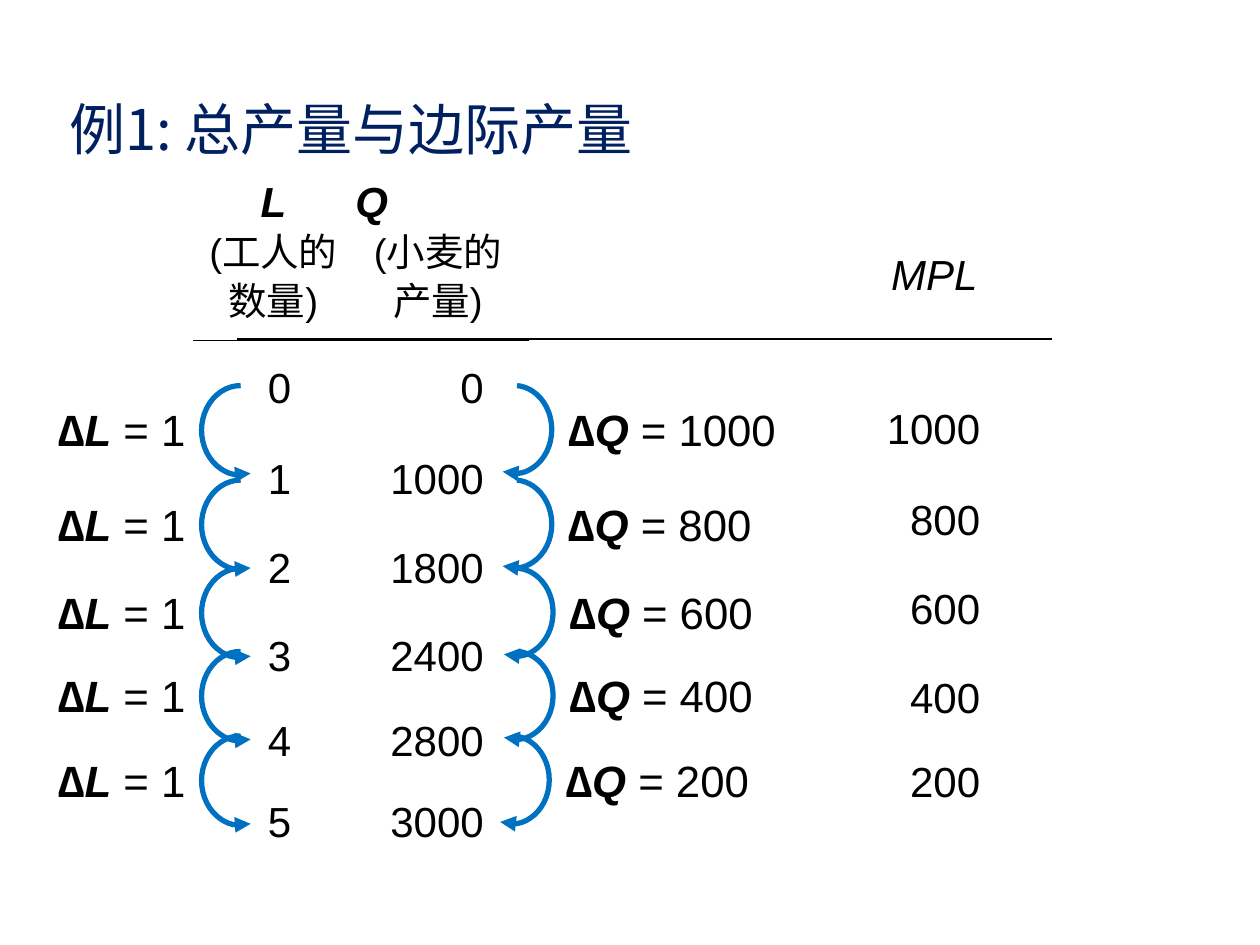
from dataclasses import dataclass

from lxml import etree
from pptx import Presentation
from pptx import util as u
from pptx.dml.color import RGBColor
from pptx.enum import shapes, text
from pptx.oxml.ns import qn


@dataclass(frozen=True)
class Theme:
    navy: str = "002060"
    ink: str = "000000"
    blue: str = "0070C0"
    latin: str = "Arial"
    cjk: str = "Noto Sans CJK SC"
    title: int = 32
    body: int = 24
    note: int = 22
    delta: int = 25
    rule: float = 0.75
    arc: float = 3


LEFT, CENTER, RIGHT = text.PP_ALIGN.LEFT, text.PP_ALIGN.CENTER, text.PP_ALIGN.RIGHT
TOP, MIDDLE = text.MSO_ANCHOR.TOP, text.MSO_ANCHOR.MIDDLE


class SlideBuilder:
    """Places elements on a grid of 100 columns by 75 rows."""

    COLUMNS, ROWS = 100, 75

    def __init__(self, deck, theme):
        self.theme = theme
        self.cell_w = deck.slide_width / self.COLUMNS
        self.cell_h = deck.slide_height / self.ROWS
        self.slide = deck.slides.add_slide(deck.slide_layouts[5])

    def box(self, column, row, columns, rows):
        return (u.Emu(round(column * self.cell_w)), u.Emu(round(row * self.cell_h)),
                u.Emu(round(columns * self.cell_w)), u.Emu(round(rows * self.cell_h)))

    def style(self, run, size, color=None, latin=None, bold=False, italic=False):
        font = run.font
        font.size, font.bold, font.italic = u.Pt(size), bold, italic
        font.name = latin or self.theme.latin
        font.color.rgb = RGBColor.from_string(color or self.theme.ink)
        east_asian = etree.SubElement(run._r.get_or_add_rPr(), qn("a:ea"))
        east_asian.set("typeface", self.theme.cjk)

    def frame(self, shape, anchor, insets):
        frame = shape.text_frame
        frame.word_wrap = True
        frame.auto_size = text.MSO_AUTO_SIZE.NONE
        frame.vertical_anchor = anchor
        frame.margin_left, frame.margin_right = (u.Inches(i) for i in insets)
        frame.margin_top = frame.margin_bottom = u.Inches(0.05)
        return frame

    def title(self, wording, *area):
        heading = self.slide.shapes.title
        heading.left, heading.top, heading.width, heading.height = self.box(*area)
        frame = self.frame(heading, TOP, (0.1, 0.1))
        frame.text = wording
        frame.paragraphs[0].alignment = LEFT
        self.style(frame.paragraphs[0].runs[0], self.theme.title,
                   self.theme.navy, self.theme.cjk)

    def words(self, area, paragraphs, insets=(0, 0), anchor=MIDDLE, spacing=1.05):
        """Each paragraph is (alignment, [(wording, size, bold, italic), ...])."""
        holder = self.slide.shapes.add_textbox(*self.box(*area))
        frame = self.frame(holder, anchor, insets)
        for i, (alignment, runs) in enumerate(paragraphs):
            paragraph = frame.add_paragraph() if i else frame.paragraphs[0]
            paragraph.alignment, paragraph.line_spacing = alignment, spacing
            for wording, size, bold, italic in runs:
                run = paragraph.add_run()
                run.text = wording
                self.style(run, size, bold=bold, italic=italic)

    def value(self, area, number, alignment=RIGHT, insets=(0, 0.25)):
        self.words(area, [(alignment, [(number, self.theme.body, False, False)])], insets)

    def delta(self, area, symbol, amount, alignment, insets):
        size = self.theme.delta
        runs = [("∆", size, True, False), (symbol, size, True, True),
                (f" = {amount}", size, False, False)]
        self.words(area, [(alignment, runs)], insets, TOP, 1.0)

    def rule(self, start, end, row):
        x, y, width, _ = self.box(start, row, end - start, 0)
        line = self.slide.shapes.add_connector(
            shapes.MSO_CONNECTOR.STRAIGHT, x, y, x + width, y)
        line.line.color.rgb = RGBColor.from_string(self.theme.ink)
        line.line.width = u.Pt(self.theme.rule)
        etree.SubElement(line._element.spPr, qn("a:effectLst"))

    def arc(self, area, start, end, arrow_at):
        """Clockwise arc in degrees; arrow_at is headEnd (start) or tailEnd (end)."""
        curve = self.slide.shapes.add_shape(shapes.MSO_SHAPE.ARC, *self.box(*area))
        curve.shadow.inherit = False
        curve.adjustments[0], curve.adjustments[1] = start * 0.6, end * 0.6
        curve.fill.background()
        curve.line.color.rgb = RGBColor.from_string(self.theme.blue)
        curve.line.width = u.Pt(self.theme.arc)
        arrow = etree.SubElement(curve.line._get_or_add_ln(), qn(f"a:{arrow_at}"))
        arrow.set("type", "triangle")


def main():
    deck = Presentation()
    deck.slide_width, deck.slide_height = u.Inches(10), u.Inches(7.5)
    theme = Theme()
    page = SlideBuilder(deck, theme)

    page.title("例1: 总产量与边际产量", 4.5, 7, 48.7, 6.4)

    # Column headings and rules
    headings = [("L", CENTER, "(工人的数量)", 15.2, 13), ("Q", LEFT, "(小麦的产量)", 28.2, 13.1)]
    for symbol, alignment, meaning, column, width in headings:
        page.words((column, 12.5, width, 14.4),
                   [(alignment, [(symbol, theme.body, True, True)]),
                    (CENTER, [(meaning, theme.note, False, False)])])
    page.words((69.1, 14.4, 10.1, 14.4), [(CENTER, [("MPL", theme.body, False, True)])])
    page.rule(15.3, 42, 27)
    page.rule(18.8, 83.5, 26.9)

    # Workers, output and marginal product
    output = [0, 1000, 1800, 2400, 2800, 3000]
    marginal = [after - before for before, after in zip(output, output[1:])]
    row_edges = [26.8, 34.3, 41.3, 48.4, 55.4, 61.8, 68.2]
    for workers, wheat in enumerate(output):
        top = row_edges[workers]
        height = row_edges[workers + 1] - top
        page.value((15.2, top, 13, height), str(workers), CENTER, (0.1, 0))
        page.value((28.2, top, 12.7, height), str(wheat))
        if workers < len(marginal):
            page.value((70.2, top + 3.3, 10.1, height), str(marginal[workers]))

    # Changes between neighbouring rows
    step_tops = [30.6, 38.1, 45.1, 51.7, 58.4]
    output_shifts = [0, 0, 0.1, 0.1, -0.2]
    for change, top, shift in zip(marginal, step_tops, output_shifts):
        page.arc((37.8 + shift, top, 6, 7), 274, 105, "tailEnd")
        page.delta((44.1 + shift, top + 0.9, 10.9 + 1.9 * len(str(change)), 5.2),
                   "Q", change, LEFT, (0.1, 0))
        page.arc((16, top, 6.2, 7.1), 77, 270, "headEnd")
        page.delta((3.4, top + 0.9, 12.3, 5.2), "L", 1, RIGHT, (0, 0.1))

    deck.save("out.pptx")


if __name__ == "__main__":
    main()
